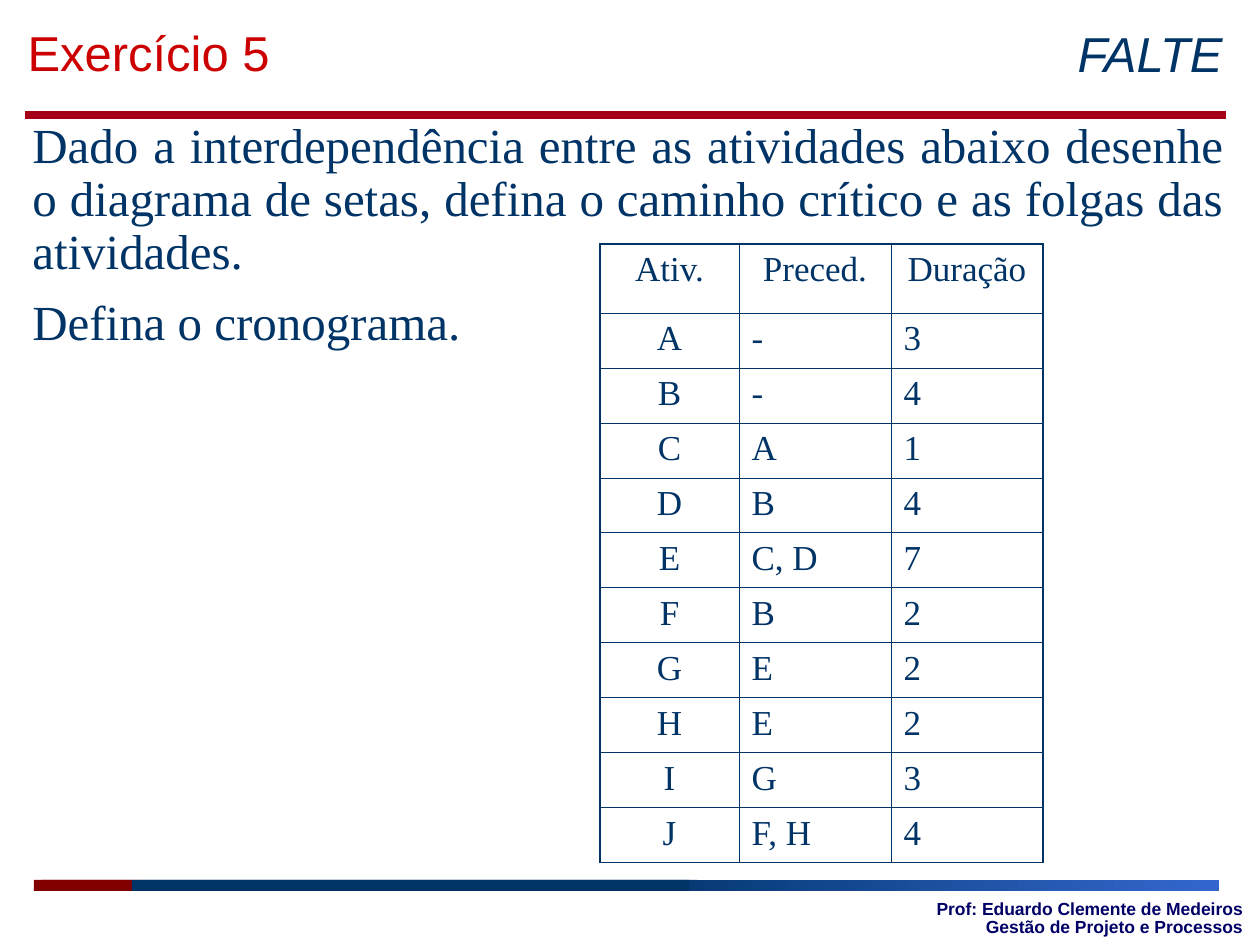
from lxml import etree
from pptx import Presentation
from pptx.dml.color import RGBColor
from pptx.enum.shapes import MSO_CONNECTOR, MSO_SHAPE
from pptx.enum.text import MSO_ANCHOR, MSO_AUTO_SIZE, PP_ALIGN
from pptx.oxml.ns import qn
from pptx.util import Emu, Pt

LEFT, CENTER, RIGHT = PP_ALIGN.LEFT, PP_ALIGN.CENTER, PP_ALIGN.RIGHT
JUSTIFY = PP_ALIGN.JUSTIFY
TOP, MIDDLE = MSO_ANCHOR.TOP, MSO_ANCHOR.MIDDLE
GROW, FIXED = MSO_AUTO_SIZE.SHAPE_TO_FIT_TEXT, MSO_AUTO_SIZE.NONE
RECTANGLE = MSO_SHAPE.RECTANGLE
STRAIGHT = MSO_CONNECTOR.STRAIGHT

PX_PER_INCH = 126
NAVY = "003366"
SANS, SERIF = "Arial", "Times New Roman"
OUTER_BORDER, INNER_BORDER = 1.08, 0.45

ACTIVITIES = [
    ("Ativ.", "Preced.", "Duração"),
    ("A", "-", "3"),
    ("B", "-", "4"),
    ("C", "A", "1"),
    ("D", "B", "4"),
    ("E", "C, D", "7"),
    ("F", "B", "2"),
    ("G", "E", "2"),
    ("H", "E", "2"),
    ("I", "G", "3"),
    ("J", "F, H", "4"),
]
COLUMN_WIDTHS = [139, 152, 152]
HEADER_HEIGHT, ROW_HEIGHT = 69, 55


def px(length):
    return Emu(round(length * 914400 / PX_PER_INCH))


def rgb(color):
    return RGBColor.from_string(color)


def style_paragraph(paragraph, font, size, color, align=LEFT, before=0, after=0,
                    spacing=1.0, bold=False, italic=False):
    paragraph.alignment = align
    paragraph.space_before = Pt(before)
    paragraph.space_after = Pt(after)
    paragraph.line_spacing = spacing
    paragraph.font.name = font
    paragraph.font.size = Pt(size)
    paragraph.font.color.rgb = rgb(color)
    paragraph.font.bold = bold
    paragraph.font.italic = italic


def fill_text(holder, box, lines, anchor=TOP, fit=GROW, **style):
    holder.left, holder.top, holder.width, holder.height = map(px, box)
    frame = holder.text_frame
    frame.text = "\n".join(lines)
    frame.word_wrap = True
    frame.auto_size = fit
    frame.vertical_anchor = anchor
    for paragraph in frame.paragraphs:
        style_paragraph(paragraph, **style)


def add_text(slide, box, lines, **options):
    fill_text(slide.shapes.add_textbox(*map(px, box)), box, lines, **options)


def add_bar(group, left, width, color, end_color=None):
    bar = group.shapes.add_shape(RECTANGLE, px(left), px(880), px(width), px(11))
    bar.shadow.inherit = False
    bar.line.fill.background()
    if end_color is None:
        bar.fill.solid()
        bar.fill.fore_color.rgb = rgb(color)
        return
    bar.fill.gradient()
    bar.fill.gradient_angle = 0
    for stop, position, stop_color in zip(bar.fill.gradient_stops, (0, 1), (color, end_color)):
        stop.position = position
        stop.color.rgb = rgb(stop_color)


def add_footer_strip(slide, left):
    strip = slide.shapes.add_group_shape()
    add_bar(strip, left, 98, "800000")
    add_bar(strip, left + 562, 615, NAVY, "3366CC")
    add_bar(strip, left + 98, 557, NAVY)


def add_header_rule(slide):
    rule = slide.shapes.add_connector(STRAIGHT, px(25), px(115), px(1226), px(115))
    rule.line.color.rgb = rgb("A40018")
    rule.line.width = Pt(4.5)
    etree.SubElement(rule._element.spPr, qn("a:effectLst"))


def set_borders(cell, widths):
    properties = cell._tc.get_or_add_tcPr()
    for side, width in zip("LRTB", widths):
        border = etree.SubElement(properties, qn(f"a:ln{side}"), w=str(Pt(width)))
        solid = etree.SubElement(border, qn("a:solidFill"))
        etree.SubElement(solid, qn("a:srgbClr"), val=NAVY)


def add_activity_table(slide):
    row_heights = [HEADER_HEIGHT] + [ROW_HEIGHT] * (len(ACTIVITIES) - 1)
    table = slide.shapes.add_table(
        len(row_heights), len(COLUMN_WIDTHS), px(600), px(244),
        px(sum(COLUMN_WIDTHS)), px(sum(row_heights))).table
    table.first_row = False
    table.horz_banding = False
    for column, width in zip(table.columns, COLUMN_WIDTHS):
        column.width = px(width)
    for row, height in zip(table.rows, row_heights):
        row.height = px(height)

    last_row, last_column = len(row_heights) - 1, len(COLUMN_WIDTHS) - 1
    for r, values in enumerate(ACTIVITIES):
        for c, value in enumerate(values):
            cell = table.cell(r, c)
            cell.text = value
            on_edge = (c == 0, c == last_column, r == 0, r == last_row)
            set_borders(cell, [OUTER_BORDER if edge else INNER_BORDER for edge in on_edge])
            cell.fill.background()
            style_paragraph(cell.text_frame.paragraphs[0], SERIF, 20, NAVY,
                            align=CENTER if r == 0 or c == 0 else LEFT, before=5)


def main():
    presentation = Presentation()
    presentation.slide_width, presentation.slide_height = px(1260), px(945)
    slide = presentation.slides.add_slide(presentation.slide_layouts[5])

    add_footer_strip(slide, 42)
    add_header_rule(slide)
    add_footer_strip(slide, 34)
    add_text(slide, (997, 26, 238, 63), ["FALTE"], font=SANS, size=28, color=NAVY,
             align=RIGHT, before=17.5, spacing=0.85, italic=True)
    add_text(slide, (888, 900, 367, 39),
             ["Prof: Eduardo Clemente de Medeiros Gestão de Projeto e Processos"],
             anchor=MIDDLE, fit=FIXED, font=SANS, size=10, color="000066",
             align=RIGHT, spacing=0.85, bold=True)
    add_text(slide, (20, 115, 1216, 243),
             ["Dado a interdependência entre as atividades abaixo desenhe o diagrama de setas, "
              "defina o caminho crítico e as folgas das atividades.",
              "Defina o cronograma."],
             font=SERIF, size=28, color=NAVY, align=JUSTIFY, before=7, after=3.5, spacing=0.9)
    fill_text(slide.shapes.title, (15, 16, 922, 72), ["Exercício 5"],
              font=SANS, size=28, color="CC0000", before=17.5)
    add_activity_table(slide)

    presentation.save("out.pptx")


if __name__ == "__main__":
    main()
